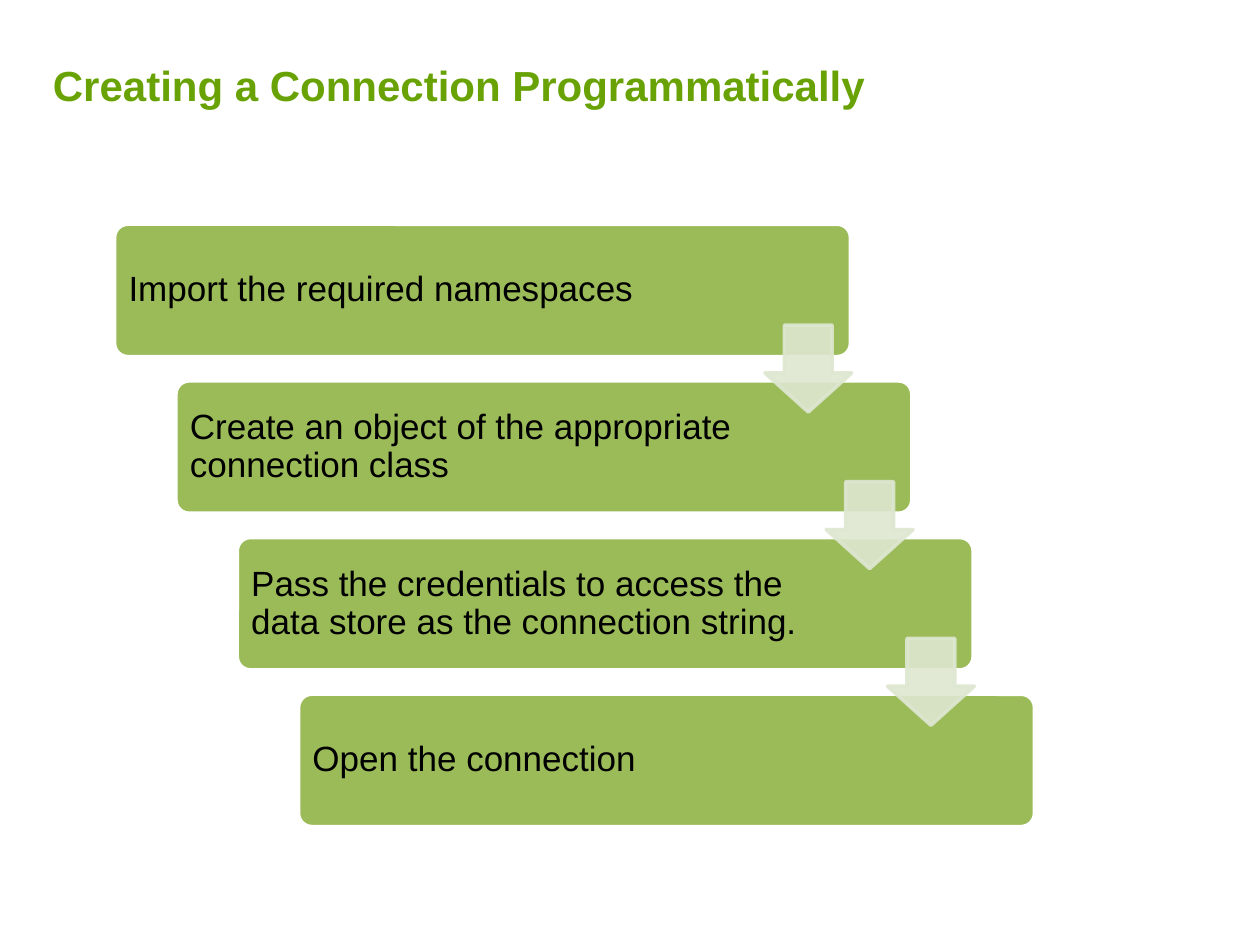
from lxml import etree
from pptx import Presentation
from pptx.dml.color import RGBColor
from pptx.enum import shapes, text
from pptx.oxml.ns import qn
from pptx.util import Inches, Pt

TITLE = RGBColor(0x69, 0xA2, 0x05)
GREEN = RGBColor(0x9B, 0xBB, 0x59)
PALE = RGBColor(0xDE, 0xE7, 0xD1)
WHITE = RGBColor(0xFF, 0xFF, 0xFF)
BLACK = RGBColor(0, 0, 0)

STEPS = [
    "Import the required namespaces",
    "Create an object of the appropriate connection class",
    "Pass the credentials to access the data store as the connection string.",
    "Open the connection",
]


def add_text(slide, box, words, size, color, anchor, insets, bold=False):
    """Place one paragraph of text in a box; return the paragraph."""
    frame = slide.shapes.add_textbox(*map(Inches, box)).text_frame
    frame.word_wrap = True
    frame.vertical_anchor = anchor
    (frame.margin_left, frame.margin_top,
     frame.margin_right, frame.margin_bottom) = map(Inches, insets)
    para = frame.paragraphs[0]
    run = para.add_run()
    run.text = words
    font = run.font
    font.name, font.size, font.bold = "Arial", Pt(size), bold
    font.color.rgb = color
    return para


def add_block(slide, kind, box, adjust, fill, line, alpha=None):
    """Place a filled preset shape, optionally with an opacity in percent."""
    block = slide.shapes.add_shape(kind, *map(Inches, box))
    block.shadow.inherit = False
    for i, value in enumerate(adjust):
        block.adjustments[i] = value
    block.fill.solid()
    block.fill.fore_color.rgb = fill
    block.line.color.rgb = line
    block.line.width = Pt(2)
    if alpha is not None:
        for color in block.element.spPr.iter(qn("a:srgbClr")):
            etree.SubElement(color, qn("a:alpha"), val=str(alpha * 1000))


def add_title(slide, box):
    add_text(slide, box, "Creating a Connection Programmatically", 24, TITLE,
             text.MSO_ANCHOR.BOTTOM, (0, 0, 0, 0.05), bold=True)


def add_stairs(slide, box):
    """Steps descend to the right, each joined to the next by an arrow."""
    left, top, width, height = box
    card_w, card_h, side = 5.84, 1.05, 0.69
    gaps = len(STEPS) - 1
    dx, dy = (width - card_w) / gaps, (height - card_h) / gaps
    spots = [(left + i * dx, top + i * dy) for i in range(len(STEPS))]

    # Step cards with their labels
    for (x, y), words in zip(spots, STEPS):
        add_block(slide, shapes.MSO_SHAPE.ROUNDED_RECTANGLE,
                  (x, y, card_w, card_h), [0.1], GREEN, WHITE)
        para = add_text(slide, (x + 0.03, y + 0.03, 4.61, 0.99), words, 20,
                        BLACK, text.MSO_ANCHOR.MIDDLE, [0.08] * 4)
        para.line_spacing = 0.9

    # Arrows on top of the cards
    for x, y in spots[:-1]:
        add_block(slide, shapes.MSO_SHAPE.DOWN_ARROW,
                  (x + 5.16, y + 0.8, side, side), [0.55, 0.45],
                  PALE, PALE, alpha=90)


def main():
    deck = Presentation()
    deck.slide_width, deck.slide_height = Inches(10), Inches(7.5)
    slide = deck.slides.add_slide(deck.slide_layouts[6])
    add_title(slide, (0.42, 0.35, 9.14, 0.57))
    add_stairs(slide, (0.91, 1.78, 7.3, 4.78))
    deck.save("out.pptx")


if __name__ == "__main__":
    main()
